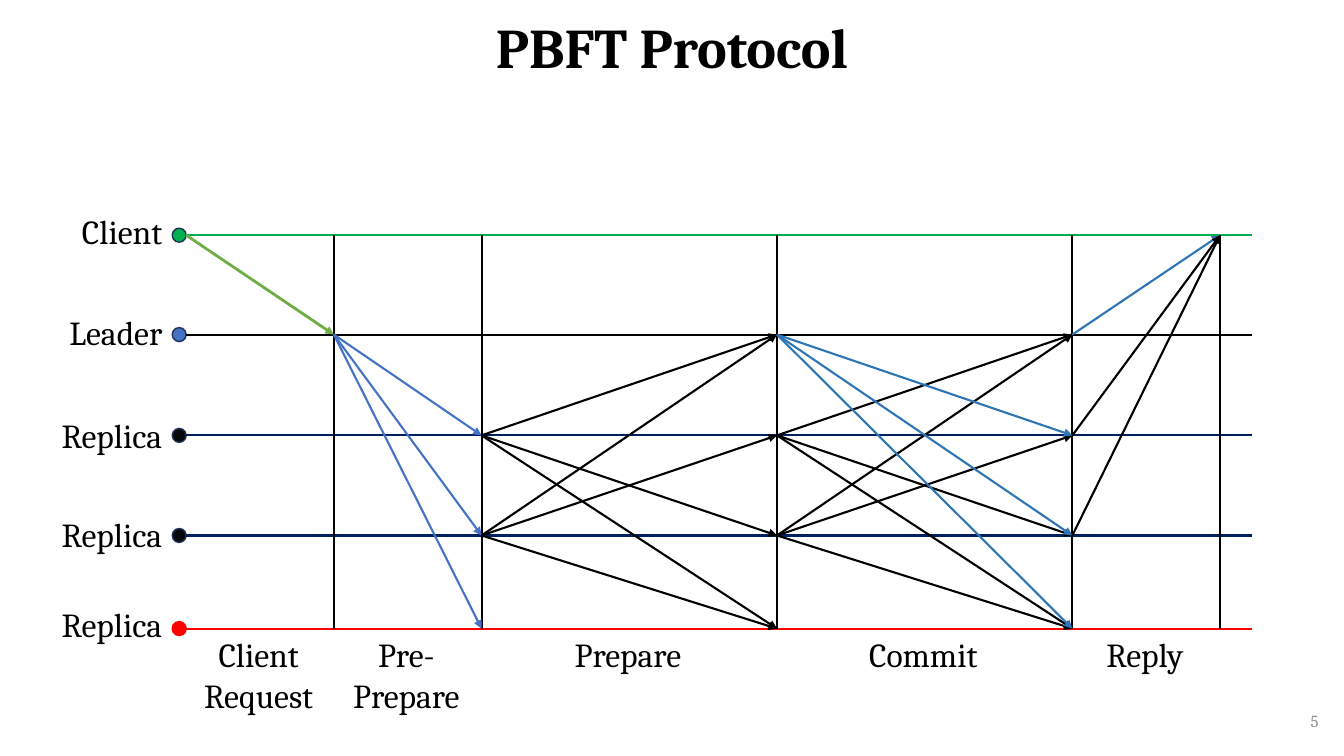
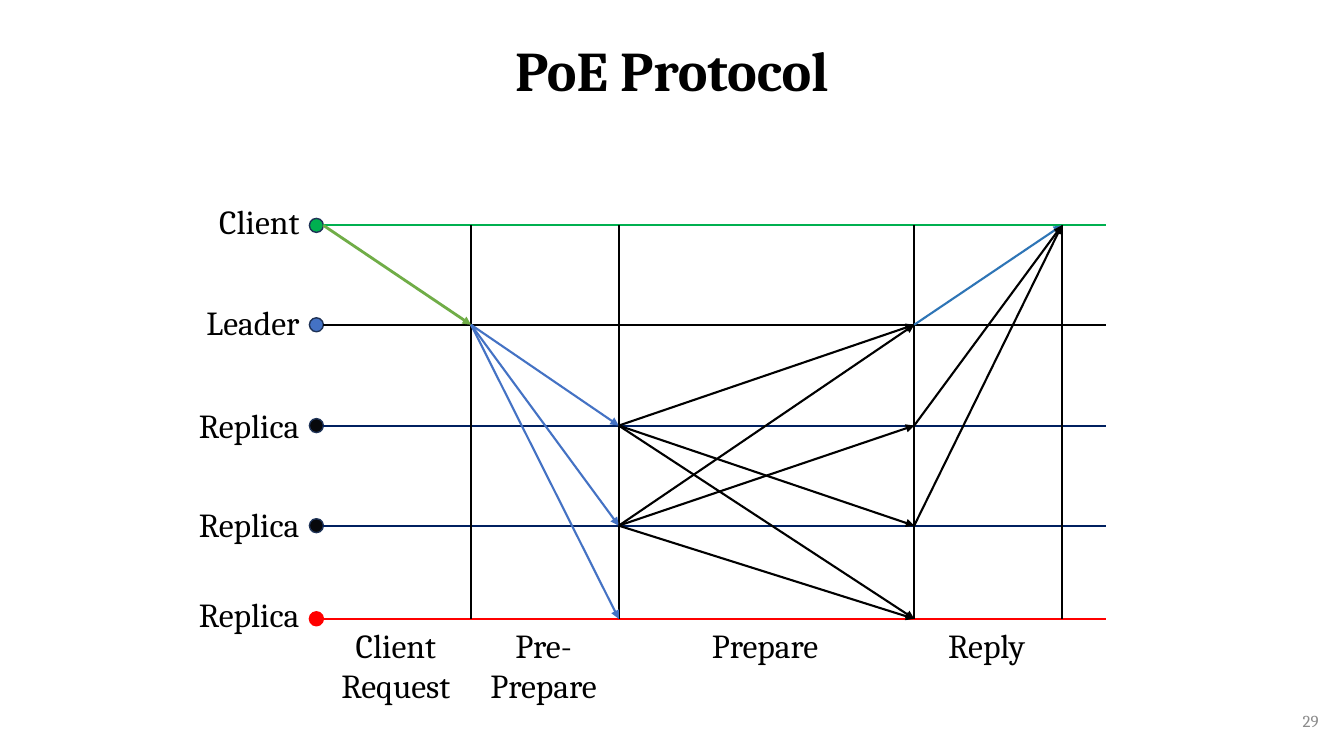
from dataclasses import dataclass
from itertools import accumulate

from pptx import Presentation
from pptx.dml.color import RGBColor
from pptx.enum.shapes import MSO_CONNECTOR, MSO_SHAPE
from pptx.enum.text import MSO_ANCHOR, PP_ALIGN
from pptx.oxml.ns import qn
from pptx.util import Pt
from lxml.etree import SubElement


@dataclass(frozen=True)
class Theme:
    font: str = "Cambria"
    title_size: int = 40
    body_size: int = 24
    number_size: int = 12
    line: float = 1.5
    strong_line: float = 2
    dot_line: float = 1
    black: str = "000000"
    gray: str = "8C8C8C"
    green: str = "00B050"
    lime: str = "70AD47"
    blue: str = "4472C4"
    steel: str = "2E75B6"
    navy: str = "002060"
    ink: str = "07080B"
    outline: str = "1E3256"
    red: str = "FF0000"


@dataclass(frozen=True)
class Lane:
    label: str
    offset: float
    label_rise: float
    line: str
    dot: str
    dot_outline: str


@dataclass(frozen=True)
class Phase:
    caption: tuple
    rows: int
    span: int
    messages: tuple
    color: str
    leader_color: str
    width: float = 1.5


T = Theme()
LANES = (
    Lane("Client", 0, 21, T.green, T.green, T.outline),
    Lane("Leader", 71, 20, T.black, T.blue, T.outline),
    Lane("Replica", 143, 18, T.navy, T.ink, T.outline),
    Lane("Replica", 214.5, 19, T.navy, T.ink, T.outline),
    Lane("Replica", 281, 21, T.red, T.red, T.red),
)
CLIENT, LEADER = 0, 1
BROADCAST = ((1, 2), (1, 3), (1, 4))
EXCHANGE = ((2, 1), (3, 1), (2, 3), (3, 2), (2, 4), (3, 4))
ANSWERS = ((1, 0), (2, 0), (3, 0))

REQUEST = Phase(("Client", "Request"), 2, 1, ((CLIENT, LEADER),), T.lime, T.lime, T.strong_line)
PRE_PREPARE = Phase(("Pre-Prepare",), 2, 1, BROADCAST, T.blue, T.blue)
PREPARE = Phase(("Prepare",), 1, 2, EXCHANGE, T.black, T.black)
COMMIT = Phase(("Commit",), 1, 2, EXCHANGE + BROADCAST, T.black, T.steel)
REPLY = Phase(("Reply",), 1, 1, ANSWERS, T.black, T.steel)

SPAN_WIDTH = 105.5
ROW_HEIGHT = 29
INSET = 7.2
DOT = 10


def rgb(value):
    return RGBColor.from_string(value)


def add_text(slide, box, lines, size, align, color=T.black, bold=False,
             anchor=MSO_ANCHOR.TOP, spacing=None):
    sp = slide.shapes.add_textbox(*map(Pt, box))
    tf = sp.text_frame
    tf.word_wrap = True
    tf.vertical_anchor = anchor
    for i, line in enumerate(lines):
        p = tf.add_paragraph() if i else tf.paragraphs[0]
        p.alignment = align
        p.line_spacing = spacing
        r = p.add_run()
        r.text = line
        r.font.name = T.font
        r.font.size = Pt(size)
        r.font.bold = bold
        r.font.color.rgb = rgb(color)


def add_line(slide, start, end, color, width=T.line, arrow=False):
    cn = slide.shapes.add_connector(MSO_CONNECTOR.STRAIGHT, *map(Pt, (*start, *end)))
    cn.line.color.rgb = rgb(color)
    cn.line.width = Pt(width)
    spPr = cn._element.spPr
    if arrow:
        SubElement(spPr.find(qn("a:ln")), qn("a:tailEnd"), type="triangle")
    SubElement(spPr, qn("a:effectLst"))


def add_lane(slide, lane, left, y, width):
    sp = slide.shapes.add_shape(MSO_SHAPE.OVAL, Pt(left - DOT), Pt(y - DOT / 2), Pt(DOT), Pt(DOT))
    sp.shadow.inherit = False
    sp.fill.solid()
    sp.fill.fore_color.rgb = rgb(lane.dot)
    sp.line.color.rgb = rgb(lane.dot_outline)
    sp.line.width = Pt(T.dot_line)
    label_width = 98
    add_text(slide, (left - DOT - label_width, y - lane.label_rise, label_width, 36),
             (lane.label,), T.body_size, PP_ALIGN.RIGHT)
    add_line(slide, (left, y), (left + width, y), lane.line)


def add_phase(slide, phase, left, right, lane_ys):
    add_line(slide, (right, lane_ys[0]), (right, lane_ys[-1]), T.black)
    for sender, receiver in phase.messages:
        color = phase.leader_color if sender == LEADER else phase.color
        add_line(slide, (left, lane_ys[sender]), (right, lane_ys[receiver]),
                 color, phase.width, arrow=True)
    caption_width = 104
    add_text(slide, ((left + right - caption_width) / 2 - 1, lane_ys[-1] + 0.5,
                     caption_width, phase.rows * ROW_HEIGHT + INSET),
             phase.caption, T.body_size, PP_ALIGN.CENTER)


def add_protocol(slide, left, top, width, phases):
    lane_ys = [top + lane.offset for lane in LANES]
    for lane, y in zip(LANES, lane_ys):
        add_lane(slide, lane, left, y, width)
    edges = [left + SPAN_WIDTH * n for n in accumulate((ph.span for ph in phases), initial=0)]
    for phase, start, end in zip(phases, edges, edges[1:]):
        add_phase(slide, phase, start, end, lane_ys)


def add_protocol_slide(prs, title, title_top, number, box, phases):
    slide = prs.slides.add_slide(prs.slide_layouts[6])
    add_text(slide, (66, title_top, 828, 71.5), (title,), T.title_size, PP_ALIGN.CENTER,
             bold=True, anchor=MSO_ANCHOR.MIDDLE, spacing=0.9)
    add_text(slide, (733, 500.5, 216, 29), (number,), T.number_size, PP_ALIGN.RIGHT,
             color=T.gray, anchor=MSO_ANCHOR.MIDDLE)
    add_protocol(slide, *box, phases)


def main():
    prs = Presentation()
    prs.slide_width, prs.slide_height = Pt(960), Pt(540)
    add_protocol_slide(prs, "PBFT Protocol", 0, "5", (133, 168, 761),
                       (REQUEST, PRE_PREPARE, PREPARE, COMMIT, REPLY))
    add_protocol_slide(prs, "PoE Protocol", 17, "29", (231, 161, 559),
                       (REQUEST, PRE_PREPARE, PREPARE, REPLY))
    prs.save("out.pptx")


if __name__ == "__main__":
    main()
